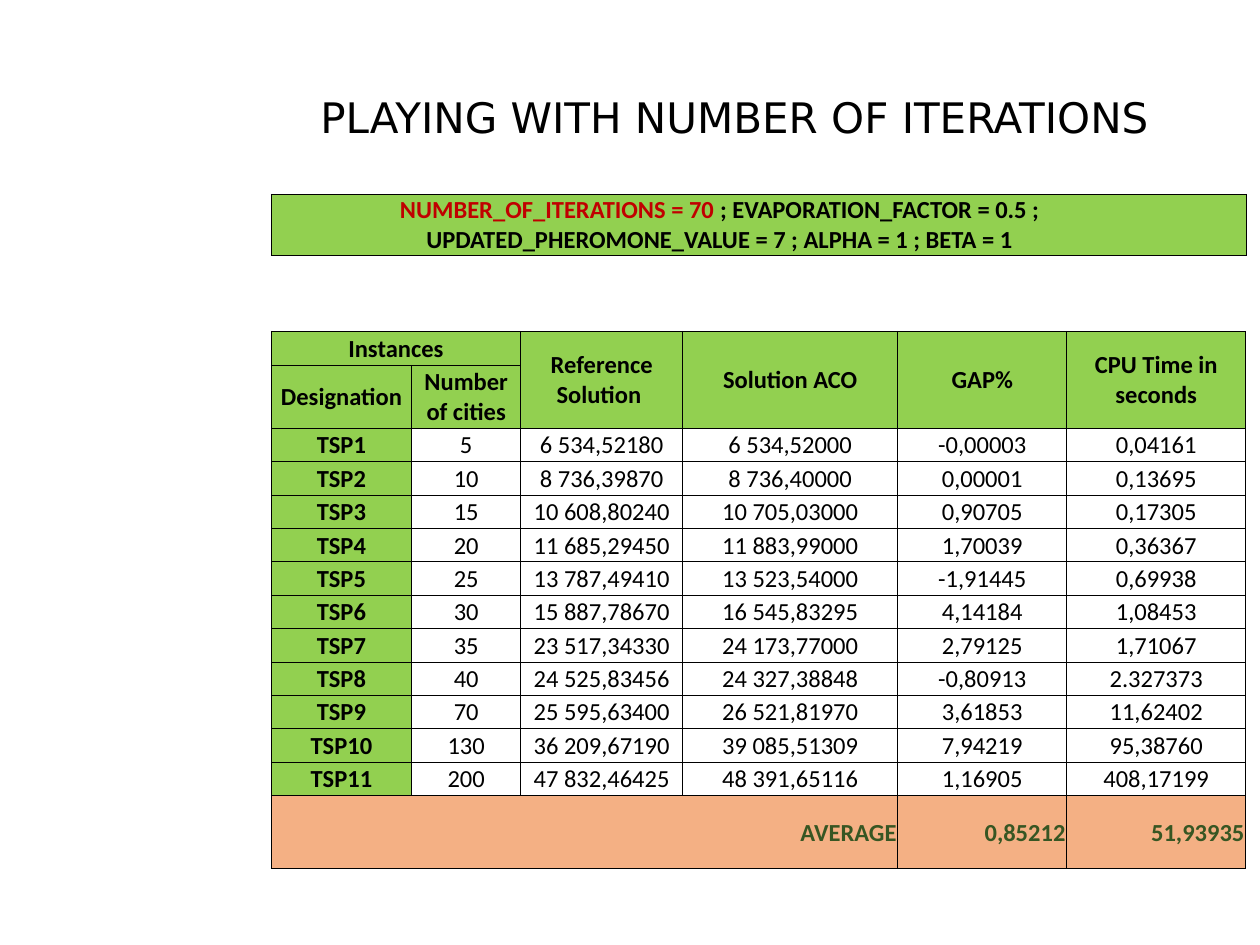
from dataclasses import dataclass

from lxml.etree import SubElement
from pptx import Presentation
from pptx.dml.color import RGBColor as Rgb
from pptx.enum.text import MSO_ANCHOR as Anchor, PP_ALIGN as Align
from pptx.oxml.ns import qn
from pptx.util import Pt


@dataclass(frozen=True)
class Theme:
    """Colours, fonts and sizes of the slide."""
    ink: str = "000000"
    accent: str = "C00000"
    header: str = "92D050"
    average: str = "F4B084"
    average_ink: str = "375623"
    title_font: str = "DejaVu Sans"
    body_font: str = "Calibri"
    title_size: int = 24
    body_size: int = 14
    border: float = 0.5
    inset: float = 0.7


THEME = Theme()

PARAMETERS = [
    [("NUMBER_OF_ITERATIONS = 70 ", THEME.accent), ("; EVAPORATION_FACTOR = 0.5 ;", THEME.ink)],
    [("UPDATED_PHEROMONE_VALUE = 7 ; ALPHA = 1 ; BETA = 1", THEME.ink)],
]
COLUMN_WIDTHS = [80.3, 62.3, 92.6, 122.9, 96.6, 102.3]
GROUP_HEIGHT, HEADING_HEIGHT, AVERAGE_HEIGHT = 19.4, 36, 41.9
GROUPS = ["Instances", "", "Reference Solution ", "Solution ACO", "GAP%", "CPU Time in seconds"]
HEADINGS = ["Designation", "Number of cities", "", "", "", ""]
RESULTS = [
    ("TSP1", "5", "6 534,52180", "6 534,52000", "-0,00003", "0,04161"),
    ("TSP2", "10", "8 736,39870", "8 736,40000", "0,00001", "0,13695"),
    ("TSP3", "15", "10 608,80240", "10 705,03000", "0,90705", "0,17305"),
    ("TSP4", "20", "11 685,29450", "11 883,99000", "1,70039", "0,36367"),
    ("TSP5", "25", "13 787,49410", "13 523,54000", "-1,91445", "0,69938"),
    ("TSP6", "30", "15 887,78670", "16 545,83295", "4,14184", "1,08453"),
    ("TSP7", "35", "23 517,34330", "24 173,77000", "2,79125", "1,71067"),
    ("TSP8", "40", "24 525,83456", "24 327,38848", "-0,80913", "2.327373"),
    ("TSP9", "70", "25 595,63400", "26 521,81970", "3,61853", "11,62402"),
    ("TSP10", "130", "36 209,67190", "39 085,51309", "7,94219", "95,38760"),
    ("TSP11", "200", "47 832,46425", "48 391,65116", "1,16905", "408,17199"),
]
AVERAGES = ["AVERAGE", "", "", "", "0,85212", "51,93935"]


def add_run(paragraph, text, font, size, color, bold=False):
    """Add one formatted run to a paragraph."""
    run = paragraph.add_run()
    run.text = text
    run.font.name, run.font.size, run.font.bold = font, Pt(size), bold
    run.font.color.rgb = Rgb.from_string(color)


def style_cell(cell, fill=None):
    """Give a cell its insets, thin borders and fill."""
    cell.vertical_anchor = Anchor.MIDDLE
    cell.margin_left = cell.margin_right = cell.margin_top = Pt(THEME.inset)
    cell.margin_bottom = 0
    properties = cell._tc.get_or_add_tcPr()
    for side in ("lnL", "lnR", "lnT", "lnB"):
        line = SubElement(properties, qn(f"a:{side}"), w=str(Pt(THEME.border)))
        SubElement(SubElement(line, qn("a:solidFill")), qn("a:srgbClr"), val=THEME.ink)
    if fill:
        cell.fill.solid()
        cell.fill.fore_color.rgb = Rgb.from_string(fill)
    else:
        cell.fill.background()


def write_cell(cell, text, fill=None, color=THEME.ink, bold=True, align=Align.CENTER):
    """Style a cell and write its single line of text."""
    style_cell(cell, fill)
    if text:
        paragraph = cell.text_frame.paragraphs[0]
        paragraph.alignment = align
        add_run(paragraph, text, THEME.body_font, THEME.body_size, color, bold)


def add_plain_table(slide, box, widths, heights):
    """Add an unbanded table with the given column widths and row heights."""
    table = slide.shapes.add_table(len(heights), len(widths), *map(Pt, box)).table
    table.first_row = table.horz_banding = False
    for column, width in zip(table.columns, widths):
        column.width = Pt(width)
    for row, height in zip(table.rows, heights):
        row.height = Pt(height)
    return table


def place_title(slide, box):
    """Move the title placeholder into the box and fill it."""
    title = slide.shapes.title
    title.left, title.top, title.width, title.height = map(Pt, box)
    title.text_frame.vertical_anchor = Anchor.MIDDLE
    heading = title.text_frame.paragraphs[0]
    heading.alignment = Align.CENTER
    add_run(heading, "PLAYING WITH NUMBER OF ITERATIONS",
            THEME.title_font, THEME.title_size, THEME.ink)


def place_parameters(slide, box):
    """Place the band listing the algorithm's parameters."""
    band = add_plain_table(slide, box, [box[2]], [box[3]]).cell(0, 0)
    style_cell(band, THEME.header)
    frame = band.text_frame
    iterations, pheromone = frame.paragraphs[0], frame.add_paragraph()
    iterations._p.get_or_add_pPr().set("marR", str(Pt(44.5)))
    for paragraph, runs in zip((iterations, pheromone), PARAMETERS):
        paragraph.alignment = Align.CENTER
        for text, color in runs:
            add_run(paragraph, text, THEME.body_font, THEME.body_size, color, True)


def place_results(slide, box):
    """Place the results table with its two-level header and averages."""
    result_height = (box[3] - GROUP_HEIGHT - HEADING_HEIGHT - AVERAGE_HEIGHT) / len(RESULTS)
    heights = [GROUP_HEIGHT, HEADING_HEIGHT, *[result_height] * len(RESULTS), AVERAGE_HEIGHT]
    table = add_plain_table(slide, box, COLUMN_WIDTHS, heights)
    last = len(heights) - 1

    for row, labels in enumerate((GROUPS, HEADINGS)):
        for column, label in enumerate(labels):
            write_cell(table.cell(row, column), label, THEME.header)
    for row, (designation, *values) in enumerate(RESULTS, start=2):
        write_cell(table.cell(row, 0), designation, THEME.header)
        for column, value in enumerate(values, start=1):
            write_cell(table.cell(row, column), value, bold=False)
    for column, value in enumerate(AVERAGES):
        write_cell(table.cell(last, column), value, THEME.average,
                   THEME.average_ink, align=Align.RIGHT)

    table.cell(0, 0).merge(table.cell(0, 1))
    for column in range(2, len(COLUMN_WIDTHS)):
        table.cell(0, column).merge(table.cell(1, column))
    table.cell(last, 0).merge(table.cell(last, 3))


def main():
    """Build and save the slide."""
    deck = Presentation()
    deck.slide_width, deck.slide_height = Pt(720), Pt(540)
    slide = deck.slides.add_slide(deck.slide_layouts[5])
    place_title(slide, (155.5, 21.6, 528.5, 90))
    place_parameters(slide, (155, 111, 557, 34.5))
    place_results(slide, (155, 189.3, 557, 307.4))
    deck.save("out.pptx")


if __name__ == "__main__":
    main()
